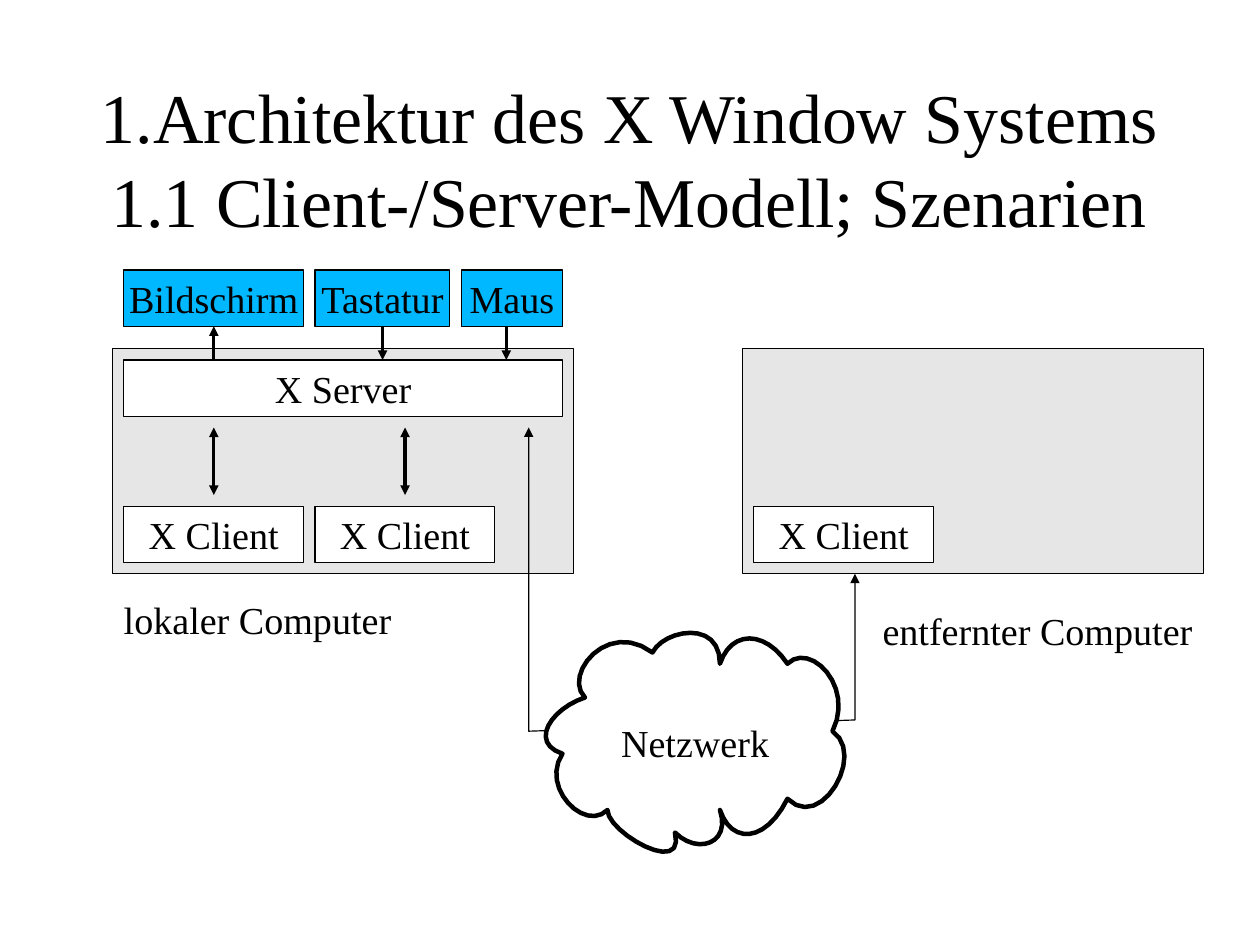
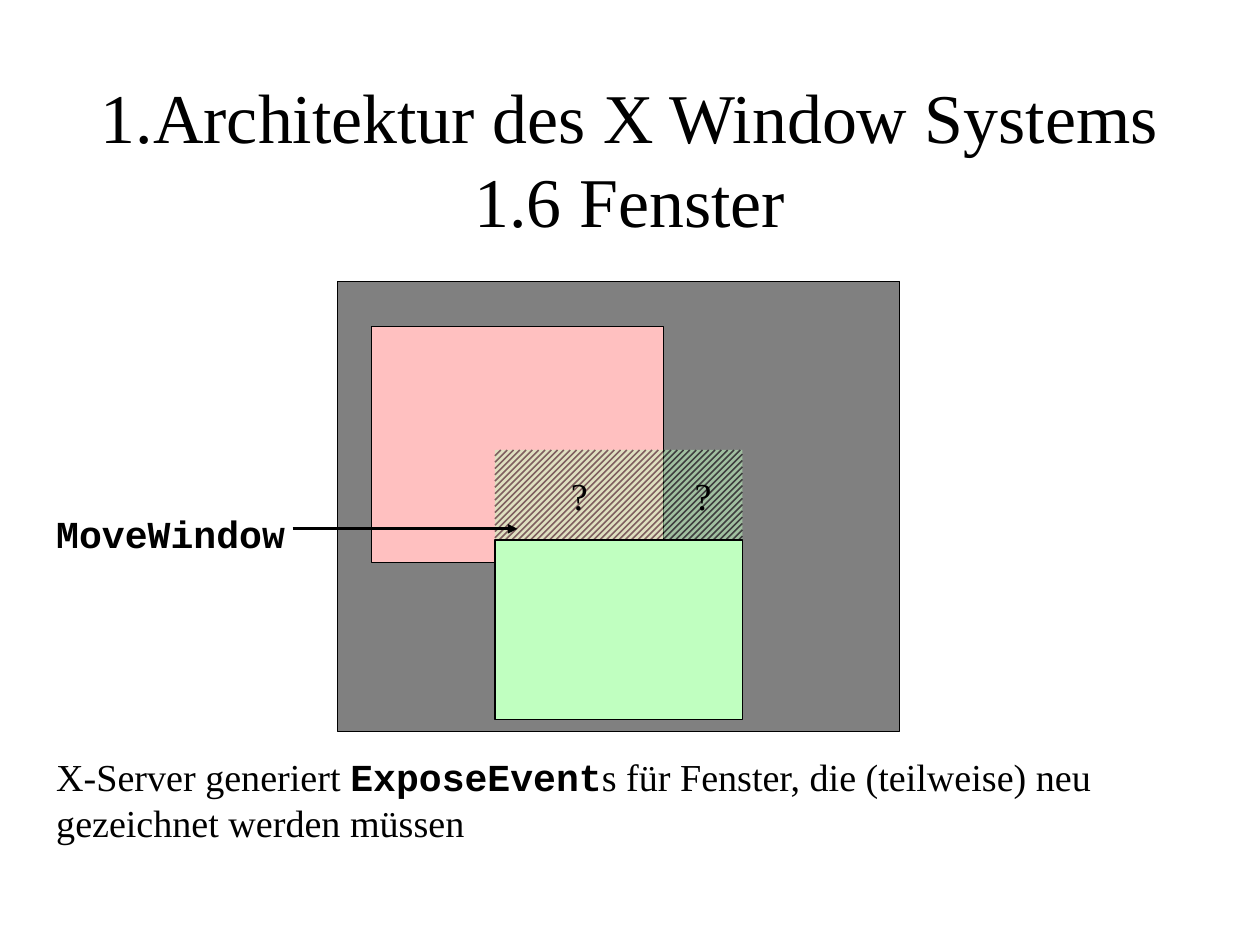
from dataclasses import dataclass
from typing import Optional

from lxml import etree
from pptx import Presentation
from pptx import util as u
from pptx.dml.color import RGBColor
from pptx.enum import dml, shapes, text
from pptx.oxml.ns import qn

CELL = u.Cm(0.25)
COLUMNS, ROWS = 112, 84
SERIF, MONO = "Times New Roman", "Courier New"
LEADING = {SERIF: 1.2, MONO: 1.32}
BLACK, WHITE = "000000", "FFFFFF"
PANEL, DEVICE = "E6E6E6", "00B8FF"
DESKTOP, PINK, GREEN = "808080", "FFC0C0", "C0FFC0"
CHAPTER = "1.Architektur des X Window Systems"
LEFT, CENTER, RIGHT = text.PP_ALIGN.LEFT, text.PP_ALIGN.CENTER, text.PP_ALIGN.RIGHT
TOP, MIDDLE = text.MSO_ANCHOR.TOP, text.MSO_ANCHOR.MIDDLE


@dataclass(frozen=True)
class Block:
    col: float
    row: float
    cols: float
    rows: float
    label: str = ""
    fill: str = WHITE


@dataclass(frozen=True)
class Label:
    col: float
    row: float
    cols: float
    rows: float
    pieces: tuple
    align: int = LEFT
    anchor: int = TOP
    size: int = 24


@dataclass(frozen=True)
class Arrow:
    start: tuple
    end: tuple
    both: bool = False


def color(value: str) -> RGBColor:
    return RGBColor.from_string(value)


def cells(*counts: float) -> list:
    return [u.Emu(round(count * CELL)) for count in counts]


def outline(shape, width: float = 0) -> None:
    shape.line.color.rgb = color(BLACK)
    shape.line.width = u.Pt(width)


def add_heads(shape, *ends: str) -> None:
    line = shape.element.spPr.find(qn("a:ln"))
    for end in ends:
        etree.SubElement(line, qn(f"a:{end}"), type="triangle")


def write(frame, pieces: tuple, align: int = CENTER, anchor: int = MIDDLE,
          size: int = 24) -> None:
    frame.word_wrap = True
    frame.vertical_anchor = anchor
    frame.margin_left = frame.margin_right = frame.margin_top = frame.margin_bottom = 0
    paragraph = frame.paragraphs[0]
    paragraph.alignment = align
    paragraph.line_spacing = u.Pt(round(size * LEADING[pieces[0][1]], 1))
    for words, font in pieces:
        first = len(paragraph.runs)
        if first:
            paragraph.add_run().text = words
        else:
            paragraph.text = words
        for run in paragraph.runs[first:]:
            run.font.name = font
            run.font.size = u.Pt(size)
            run.font.bold = font == MONO
            run.font.color.rgb = color(BLACK)


def draw_block(slide, block: Block):
    shape = slide.shapes.add_shape(
        shapes.MSO_SHAPE.RECTANGLE, *cells(block.col, block.row, block.cols, block.rows))
    shape.shadow.inherit = False
    shape.fill.solid()
    shape.fill.fore_color.rgb = color(block.fill)
    outline(shape)
    if block.label:
        write(shape.text_frame, ((block.label, SERIF),))
    return shape


def draw_label(slide, label: Label) -> None:
    box = slide.shapes.add_textbox(*cells(label.col, label.row, label.cols, label.rows))
    write(box.text_frame, label.pieces, label.align, label.anchor, label.size)


def draw_arrow(slide, arrow: Arrow):
    line = slide.shapes.add_connector(
        shapes.MSO_CONNECTOR.STRAIGHT, *cells(*arrow.start, *arrow.end))
    outline(line)
    add_heads(line, *(("headEnd", "tailEnd") if arrow.both else ("tailEnd",)))
    etree.SubElement(line.element.spPr, qn("a:effectLst"))
    return line


def draw_outline(slide, points: list, closed: bool, width: float = 0):
    corners = [cells(*point) for point in points]
    builder = slide.shapes.build_freeform(*corners[0], scale=1.0)
    builder.add_line_segments(corners[1:], close=closed)
    shape = builder.convert_to_shape()
    shape.shadow.inherit = False
    outline(shape, width)
    return shape


def curve_points(start: tuple, curves: tuple, steps: int = 12) -> list:
    points = [start]
    for curve in curves:
        knots = (points[-1], *curve)
        for step in range(1, steps + 1):
            t = step / steps
            weights = ((1 - t) ** 3, 3 * t * (1 - t) ** 2, 3 * t * t * (1 - t), t ** 3)
            points.append(tuple(
                sum(weight * knot[axis] for weight, knot in zip(weights, knots))
                for axis in (0, 1)))
    return points


def draw_hatch(slide, area: Block, opacity: int = 50) -> None:
    hatch = draw_block(slide, area)
    hatch.line.fill.background()
    hatch.fill.patterned()
    hatch.fill.pattern = dml.MSO_PATTERN.WIDE_UPWARD_DIAGONAL
    hatch.fill.fore_color.rgb = color(BLACK)
    hatch.fill.back_color.rgb = color(area.fill)
    for tint in hatch.element.spPr.find(qn("a:pattFill")).iter(qn("a:srgbClr")):
        etree.SubElement(tint, qn("a:alpha"), val=str(opacity * 1000))


def start_slide(deck, section: Optional[str]):
    slide = deck.slides.add_slide(deck.slide_layouts[6])
    slide.background.fill.solid()
    slide.background.fill.fore_color.rgb = color(WHITE)
    draw_label(slide, Label(8.2, 7, 95.6, 14, ((f"{CHAPTER}\v{section}", SERIF),),
                            CENTER, MIDDLE, 44))
    return slide


def draw_network(slide) -> None:
    route = draw_outline(slide, [(47, 38), (47, 65), (76, 64), (76, 51)], False)
    route.fill.background()
    add_heads(route, "headEnd", "tailEnd")
    curves = (
        ((52, 74), (48, 70), (50, 67)),
        ((47, 66), (49, 63), (52, 62)),
        ((50, 60), (54, 55), (58, 58)),
        ((59, 56), (64, 55), (64, 59)),
        ((65, 56), (68, 56), (70, 59)),
        ((72, 57), (76, 61), (74, 65)),
        ((77, 67), (73, 74), (70, 71)),
        ((68, 75), (65, 75), (64, 72)),
        ((65, 75), (62, 76), (60, 74)),
        ((61, 78), (54, 74), (54, 72)),
    )
    cloud = draw_outline(slide, curve_points((54, 72), curves), True, 2.83)
    cloud.fill.solid()
    cloud.fill.fore_color.rgb = color(WHITE)
    write(cloud.text_frame, (("Netzwerk", SERIF),))


def build_scenarios(deck) -> None:
    slide = start_slide(deck, "1.1 Client-/Server-Modell; Szenarien")
    for computer_col in (10, 66):
        draw_block(slide, Block(computer_col, 31, 41, 20, fill=PANEL))
    draw_block(slide, Block(11, 32, 39, 5, "X Server"))
    for client_col in (11, 28, 67):
        draw_block(slide, Block(client_col, 45, 16, 5, "X Client"))
    screen, keyboard, _ = [
        draw_block(slide, Block(col, 24, cols, 5, name, DEVICE))
        for col, cols, name in ((11, 16, "Bildschirm"), (28, 12, "Tastatur"), (41, 9, "Maus"))]
    draw_label(slide, Label(11, 53, 25, 4, (("lokaler Computer", SERIF),)))
    draw_label(slide, Label(78, 54, 28, 4, (("entfernter Computer", SERIF),), RIGHT))
    for client_center in (19, 36):
        draw_arrow(slide, Arrow((client_center, 38), (client_center, 44), True))
    draw_arrow(slide, Arrow((19, 32), (19, 29))).end_connect(screen, 2)
    draw_arrow(slide, Arrow((34, 29), (34, 32))).begin_connect(keyboard, 2)
    draw_arrow(slide, Arrow((45, 29), (45, 32)))
    draw_network(slide)


def build_windows(deck) -> None:
    slide = start_slide(deck, "1.6 Fenster")
    draw_block(slide, Block(30, 25, 50, 40, fill=DESKTOP))
    draw_block(slide, Block(33, 29, 26, 21, fill=PINK))
    draw_hatch(slide, Block(44, 40, 22, 8, fill=GREEN))
    draw_block(slide, Block(44, 48, 22, 16, fill=GREEN))
    for col, cols in ((44, 15), (59, 7)):
        draw_label(slide, Label(col, 40, cols, 8, (("?", SERIF),), CENTER, MIDDLE))
    draw_label(slide, Label(5, 45, 21, 4.6, (("MoveWindow", MONO),)))
    draw_arrow(slide, Arrow((26, 47), (46, 47)))
    draw_label(slide, Label(5, 67, 99, 8.3, (
        ("X-Server generiert ", SERIF),
        ("ExposeEvent", MONO),
        ("s für Fenster, die (teilweise) neu gezeichnet werden müssen", SERIF))))


def main() -> None:
    deck = Presentation()
    deck.slide_width, deck.slide_height = cells(COLUMNS, ROWS)
    build_scenarios(deck)
    build_windows(deck)
    deck.save("out.pptx")


if __name__ == "__main__":
    main()
